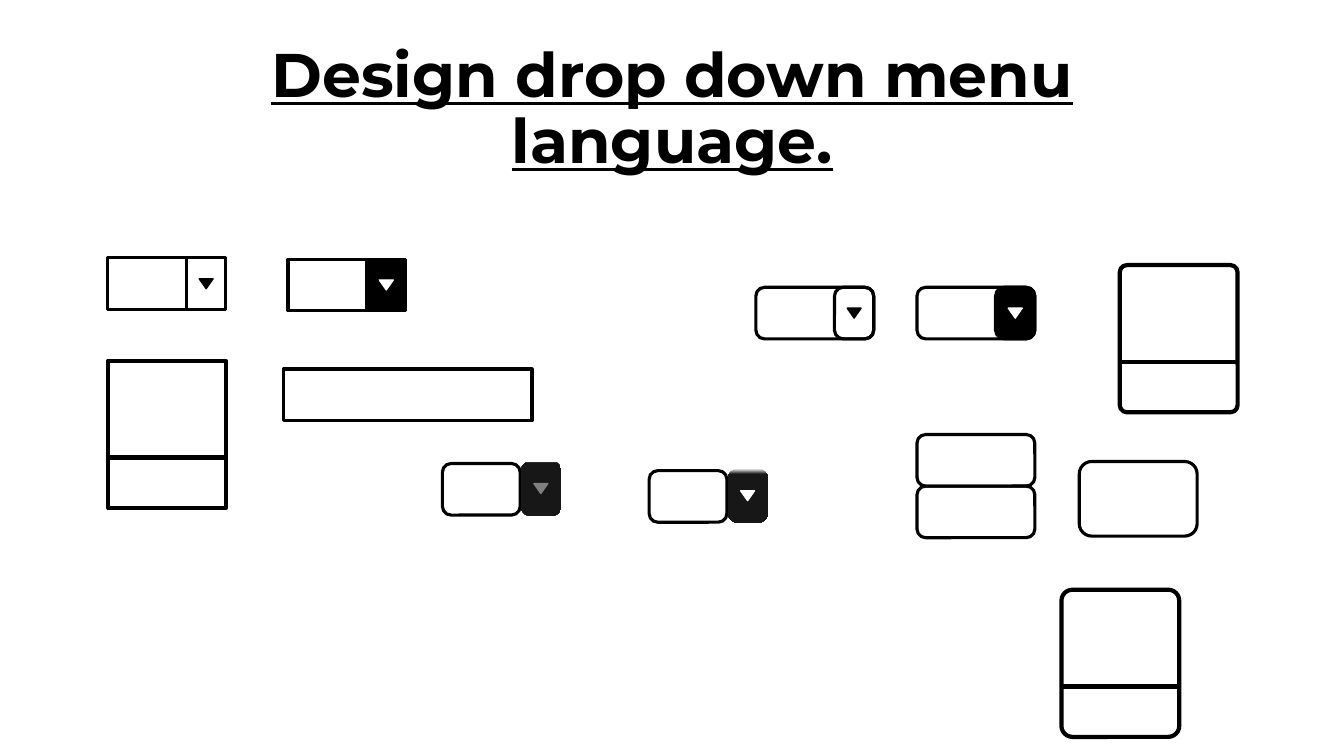
from dataclasses import dataclass

from lxml.etree import SubElement
from pptx import Presentation
from pptx.dml.color import RGBColor as Rgb
from pptx.enum.shapes import MSO_CONNECTOR as Link, MSO_SHAPE as Form
from pptx.enum.text import MSO_ANCHOR as Anchor, PP_ALIGN as Align
from pptx.oxml.ns import qn
from pptx.shapes.autoshape import Shape
from pptx.slide import Slide
from pptx.util import Cm, Pt


@dataclass(frozen=True)
class Theme:
    font: str = "Montserrat"
    title: float = 44
    black: str = "000000"
    white: str = "FFFFFF"
    gray: str = "7F7F7F"
    dark: str = "181717"
    pale: str = "F7FAFD"
    thin: float = 1
    line: float = 2.25
    bold: float = 3


@dataclass(frozen=True)
class Box:
    x: float
    y: float
    w: float
    h: float
    curve: float = 0.167
    fill: str | None = None


@dataclass(frozen=True)
class Menu:
    """A closed menu: a field with a button at its right end."""
    x: float
    y: float
    curve: float
    key: float
    fill: str | None
    arrow: str


@dataclass(frozen=True)
class Shaded:
    """A menu whose button stands beside the field and fades at the top."""
    x: float
    y: float
    curve: float
    stop: float
    arrow: str


@dataclass(frozen=True)
class Panel:
    """An open menu with a dividing line."""
    x: float
    y: float
    curve: float


THEME = Theme()
WIDE, HIGH = 2.97, 1.3      # closed menu
KEY = 0.99                  # button width
SHIFT = WIDE - KEY          # button offset
TALL, SPLIT = 3.71, 2.44    # open menu and its divider

MENUS = [
    Menu(2.72, 6.5, 0, 0, None, THEME.black),
    Menu(7.26, 6.53, 0, 0, THEME.black, THEME.white),
    Menu(19.05, 7.24, 0.167, 0.226, None, THEME.black),
    Menu(23.11, 7.24, 0.167, 0.226, THEME.black, THEME.white),
]
SHADED = [
    Shaded(11.15, 11.68, 0.228, 0.02, THEME.gray),
    Shaded(16.36, 11.86, 0.266, 0.1, THEME.white),
]
PANELS = [
    Panel(2.72, 9.09, 0),
    Panel(28.22, 6.68, 0.061),
    Panel(26.75, 14.86, 0.094),
]
FIELDS = [
    Box(7.14, 9.3, 6.27, HIGH, 0),
    Box(27.2, 11.63, WIDE, 1.88),
    *(Box(23.11, 10.95 + row * HIGH, WIDE, HIGH) for row in range(2)),
]


def paint(shape: Shape, fill: str | None, line: str, width: float) -> None:
    shape.shadow.inherit = False
    if fill:
        shape.fill.solid()
        shape.fill.fore_color.rgb = Rgb.from_string(fill)
    else:
        shape.fill.background()
    shape.line.color.rgb = Rgb.from_string(line)
    shape.line.width = Pt(width)


def draw_box(slide: Slide, box: Box, width: float = THEME.line) -> Shape:
    form = Form.ROUNDED_RECTANGLE if box.curve else Form.RECTANGLE
    shape = slide.shapes.add_shape(form, Cm(box.x), Cm(box.y), Cm(box.w), Cm(box.h))
    if box.curve:
        shape.adjustments[0] = box.curve
    paint(shape, box.fill, THEME.black, width)
    return shape


def draw_arrow(slide: Slide, x: float, y: float, color: str) -> None:
    """Draw a small triangle pointing down, centred on x and y."""
    w, h = 0.35, 0.25
    arrow = slide.shapes.add_shape(
        Form.ISOSCELES_TRIANGLE, Cm(x - w / 2), Cm(y - h / 2), Cm(w), Cm(h))
    arrow.rotation = 180
    paint(arrow, color, color, THEME.thin)


def draw_menu(slide: Slide, menu: Menu) -> None:
    left = menu.x + SHIFT
    draw_box(slide, Box(menu.x, menu.y, WIDE, HIGH, menu.curve, THEME.white))
    draw_box(slide, Box(left, menu.y, KEY, HIGH, menu.key, menu.fill))
    draw_arrow(slide, left + KEY / 2, menu.y + HIGH / 2, menu.arrow)


def draw_shaded(slide: Slide, menu: Shaded) -> None:
    left = menu.x + SHIFT
    draw_box(slide, Box(menu.x, menu.y, 1.96, HIGH, fill=THEME.white))
    key = draw_box(slide, Box(left, menu.y - 0.05, 1.02, 1.37, menu.curve))
    key.line.fill.background()
    key.fill.gradient()
    key.fill.gradient_angle = 270
    stops = [(0, THEME.pale), (menu.stop, THEME.dark)]
    for stop, (place, color) in zip(key.fill.gradient_stops, stops):
        stop.position = place
        stop.color.rgb = Rgb.from_string(color)
    draw_arrow(slide, left + 0.5, menu.y + 0.63, menu.arrow)


def draw_panel(slide: Slide, panel: Panel) -> None:
    draw_box(slide, Box(panel.x, panel.y, WIDE, TALL, panel.curve, THEME.white), THEME.bold)
    y = Cm(panel.y + SPLIT)
    rule = slide.shapes.add_connector(
        Link.STRAIGHT, Cm(panel.x), y, Cm(panel.x + WIDE), y)
    rule.line.color.rgb = Rgb.from_string(THEME.black)
    rule.line.width = Pt(THEME.bold)
    SubElement(rule.element.spPr, qn("a:effectLst"))


def write(shape: Shape, text: str, *, size: float, color: str, bold: bool = False,
          under: bool = False, align: Align = Align.CENTER, space: float = 1) -> None:
    frame = shape.text_frame
    frame.word_wrap = True
    frame.vertical_anchor = Anchor.MIDDLE
    para = frame.paragraphs[0]
    para.alignment = align
    para.line_spacing = space
    run = para.add_run()
    run.text = text
    font = run.font
    font.name = THEME.font
    font.size = Pt(size)
    font.bold = bold
    font.underline = under
    font.color.rgb = Rgb.from_string(color)


def main() -> None:
    deck = Presentation()
    deck.slide_width, deck.slide_height = Cm(33.87), Cm(19.05)
    slide = deck.slides.add_slide(deck.slide_layouts[5])

    title = slide.shapes.title
    title.left, title.top = Cm(2.34), Cm(0.94)
    title.width, title.height = Cm(29.21), Cm(3.68)
    write(title, "Design drop down menu language.", size=THEME.title,
          color=THEME.black, bold=True, under=True, space=0.9)

    for panel in PANELS:
        draw_panel(slide, panel)
    for field in FIELDS:
        draw_box(slide, field)
    for menu in MENUS:
        draw_menu(slide, menu)
    for menu in SHADED:
        draw_shaded(slide, menu)

    deck.save("out.pptx")


if __name__ == "__main__":
    main()
